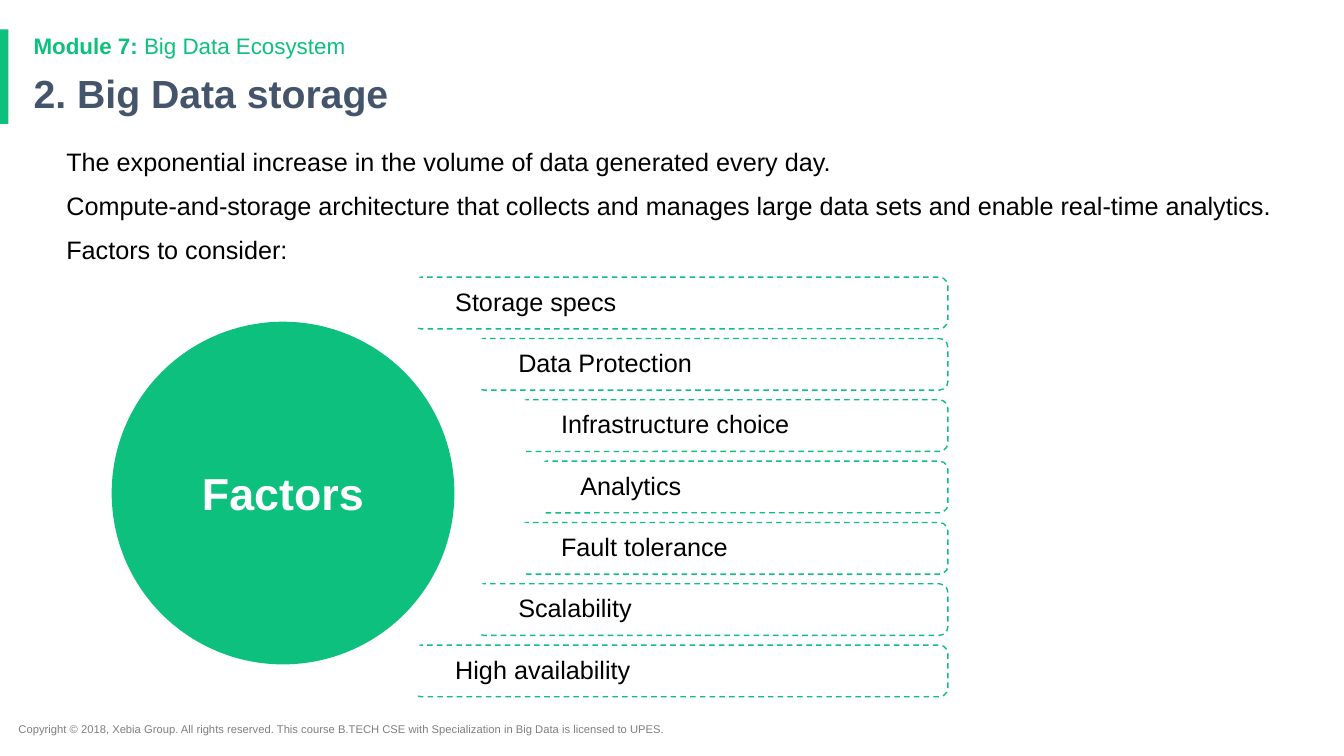
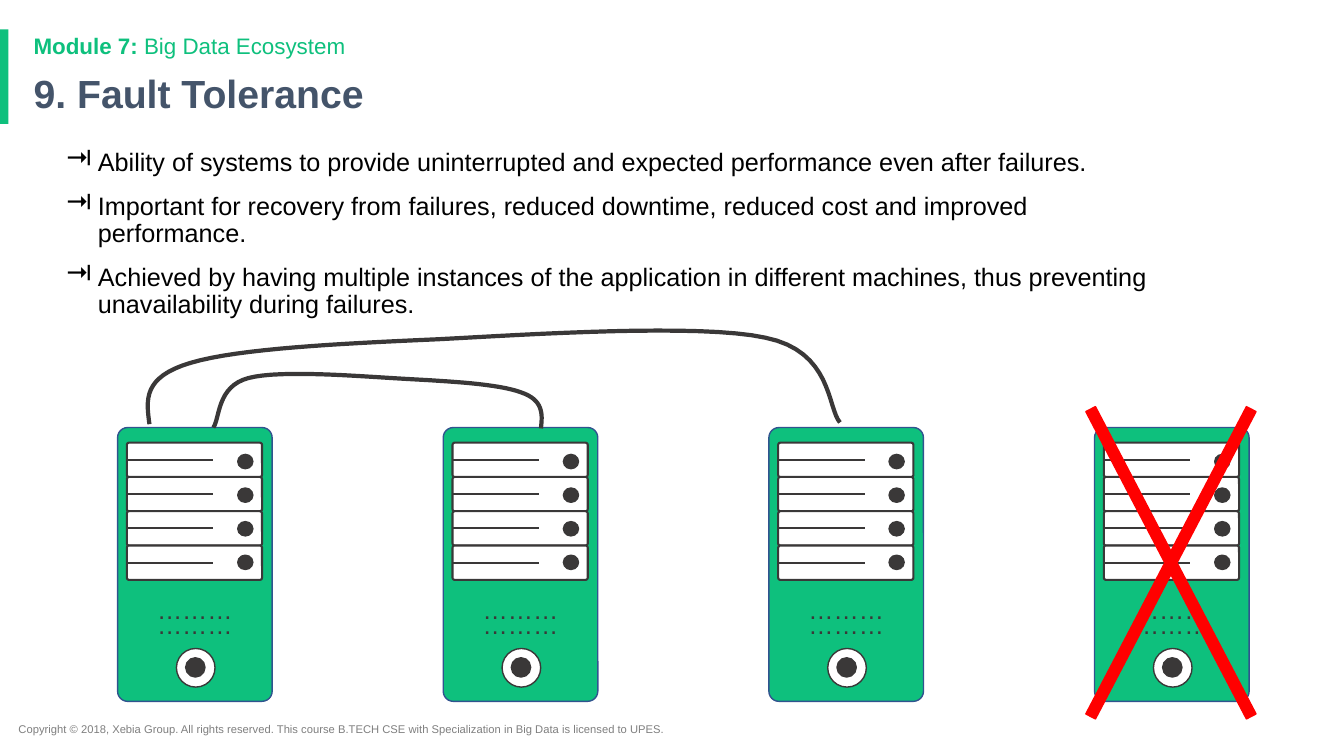
"""Build two slides on big data storage and fault tolerance."""
import typing

import lxml.etree
import pptx
import pptx.dml.color
import pptx.enum.dml
import pptx.enum.shapes
import pptx.enum.text
import pptx.oxml.ns
import pptx.util

WIDE, HIGH = pptx.util.Inches(13.33), pptx.util.Inches(7.5)
COLS, ROWS = 160, 90
GREEN, SLATE, DARK, GREY = "0EC07D", "44546A", "3A3838", "7F7F7F"
WHITE, BLACK, BLUE, RED = "FFFFFF", "000000", "31538F", "FF0000"
FONT = "Arial"
FORM = pptx.enum.shapes.MSO_SHAPE
SIDE = pptx.enum.text.PP_ALIGN
EDGE = pptx.enum.text.MSO_ANCHOR
Point = tuple[float, float]
Para = str | tuple[str, ...]


class Box(typing.NamedTuple):
    left: float
    top: float
    width: float
    height: float


class Factor(typing.NamedTuple):
    label: str
    left: float


class Cable(typing.NamedTuple):
    start: Point
    bends: tuple[tuple[Point, Point, Point], ...]


FACTORS = (
    Factor("Storage specs", 49.1),
    Factor("Data Protection", 56.6),
    Factor("Infrastructure choice", 61.7),
    Factor("Analytics", 64),
    Factor("Fault tolerance", 61.7),
    Factor("Scalability", 56.6),
    Factor("High availability", 49.1),
)
CABLES = (
    Cable((17.8, 50.5), (
        ((17.4, 47.6), (17, 44.9), (22.7, 43.2)),
        ((28.4, 41.5), (40.6, 40.9), (52, 40.4)),
        ((63.4, 39.8), (83.2, 38.5), (91.1, 40.2)),
        ((99.1, 41.8), (98.5, 48.6), (100, 50.3)),
    )),
    Cable((64.4, 51), (
        ((64.6, 49.3), (64.7, 47.6), (62, 46.7)),
        ((59.3, 45.7), (53.6, 45.4), (48.2, 45.1)),
        ((42.8, 44.8), (33.5, 44), (29.6, 45)),
        ((25.8, 46), (26.2, 49.8), (25.4, 50.9)),
    )),
)


def col(count: float) -> int:
    return round(WIDE * count / COLS)


def row(count: float) -> int:
    return round(HIGH * count / ROWS)


def place(box: Box) -> tuple[int, int, int, int]:
    return col(box.left), row(box.top), col(box.width), row(box.height)


def color(code: str) -> pptx.dml.color.RGBColor:
    return pptx.dml.color.RGBColor.from_string(code)


def add_mark(para: typing.Any, mark: str, ink: str) -> None:
    props = para._p.get_or_add_pPr()
    props.set("marL", str(col(3.75)))
    props.set("indent", str(-col(3.75)))
    qn = pptx.oxml.ns.qn
    tint = lxml.etree.SubElement(props, qn("a:buClr"))
    lxml.etree.SubElement(tint, qn("a:srgbClr")).set("val", ink)
    lxml.etree.SubElement(props, qn("a:buChar")).set("char", mark)


def write(shape: typing.Any, *paras: Para, size: float = 18, ink: str = BLACK,
          bold: bool = False, align: SIDE = SIDE.LEFT, anchor: EDGE = EDGE.TOP,
          lines: float = 0.9, gap: float = 0, mark: str = "",
          inset: tuple[float, float, float, float] = (1.2, 0.6, 1.2, 0.6)) -> None:
    frame = shape.text_frame
    frame.word_wrap = True
    frame.auto_size = pptx.enum.text.MSO_AUTO_SIZE.NONE
    frame.vertical_anchor = anchor
    frame.margin_left, frame.margin_right = col(inset[0]), col(inset[2])
    frame.margin_top, frame.margin_bottom = row(inset[1]), row(inset[3])
    for spot, runs in enumerate(paras):
        para = frame.add_paragraph() if spot else frame.paragraphs[0]
        if mark:
            add_mark(para, mark, ink)
        para.alignment = align
        para.line_spacing = lines
        para.space_before = pptx.util.Pt(gap if spot else 0)
        for turn, words in enumerate((runs,) if isinstance(runs, str) else runs):
            run = para.add_run()
            run.text = words
            run.font.name, run.font.size = FONT, pptx.util.Pt(size)
            run.font.bold = bold and not turn
            run.font.color.rgb = color(ink)


def add_text(slide: typing.Any, box: Box, *paras: Para, **style: typing.Any) -> typing.Any:
    shape = slide.shapes.add_textbox(*place(box))
    write(shape, *paras, **style)
    return shape


def outline(shape: typing.Any, ink: str, width: float) -> None:
    shape.line.color.rgb = color(ink)
    shape.line.width = pptx.util.Pt(width)


def draw(shapes: typing.Any, form: FORM, box: Box, fill: str, edge: str = "",
         width: float = 1, round_by: float | None = None) -> typing.Any:
    shape = shapes.add_shape(form, *place(box))
    shape.shadow.inherit = False
    shape.fill.solid()
    shape.fill.fore_color.rgb = color(fill)
    if edge:
        outline(shape, edge, width)
    else:
        shape.line.fill.background()
    if round_by is not None:
        shape.adjustments[0] = round_by
    return shape


def add_frame(slide: typing.Any) -> None:
    layout = slide.slide_layout
    home = layout.shapes.element
    for holder in list(layout.placeholders):
        if holder.placeholder_format.idx:
            home.remove(holder.element)
    band = draw(slide.shapes, FORM.RECTANGLE, Box(0, 3.5, 1, 11.25), GREEN)
    foot = add_text(slide, Box(1, 85.4, 85.6, 2.9),
                    "Copyright © 2018, Xebia Group. All rights reserved. This course "
                    "B.TECH CSE with Specialization in Big Data is licensed to UPES.",
                    size=8, ink=GREY, lines=1)
    for part in (band, foot):
        home.append(part.element)


def add_slide(deck: typing.Any, title: str) -> typing.Any:
    slide = deck.slides.add_slide(deck.slide_layouts[5])
    if len(deck.slides) == 1:
        add_frame(slide)
    head = slide.shapes.title
    head.left, head.top, head.width, head.height = place(Box(2.8, 8.3, 138, 6.5))
    write(head, title, size=28, ink=SLATE, bold=True)
    add_text(slide, Box(2.8, 3.6, 138, 4), ("Module 7:", " Big Data Ecosystem"),
             size=16, ink=GREEN, bold=True)
    return slide


def add_factor(slide: typing.Any, item: Factor, top: float) -> None:
    bar = draw(slide.shapes, FORM.ROUNDED_RECTANGLE,
               Box(item.left, top, 112.85 - item.left, 6.15), WHITE, GREEN, 1, 0.167)
    bar.line.dash_style = pptx.enum.dml.MSO_LINE.DASH
    write(bar, item.label, anchor=EDGE.MIDDLE, inset=(4.8, 0.6, 0.6, 0.6))
    draw(slide.shapes, FORM.OVAL, Box(item.left - 3.2, top - 0.1, 6.2, 6.2), WHITE)


def add_wire(shapes: typing.Any, bay: typing.Any, end: float) -> None:
    mid = bay.top + bay.height // 2
    wire = shapes.add_connector(pptx.enum.shapes.MSO_CONNECTOR.STRAIGHT,
                                bay.left, mid, col(end), mid)
    wire.begin_connect(bay, 1)
    outline(wire, DARK, 1.5)
    lxml.etree.SubElement(wire.element.spPr, pptx.oxml.ns.qn("a:effectLst"))


def add_server(slide: typing.Any, left: float) -> None:
    shapes = slide.shapes.add_group_shape().shapes
    case = draw(shapes, FORM.ROUNDED_RECTANGLE, Box(left, 50.9, 18.4, 32.6),
                GREEN, BLUE, 1, 0.065)
    write(case, "………", "………", ink=DARK, align=SIDE.CENTER, anchor=EDGE.BOTTOM,
          lines=0.5, inset=(1.2, 0.6, 1.2, 7.2))
    for tier in range(4):
        bay = draw(shapes, FORM.ROUNDED_RECTANGLE,
                   Box(left + 1.1, 52.7 + 4.08 * tier, 16.1, 4.1), WHITE, DARK, 1.5, 0.065)
        draw(shapes, FORM.OVAL, Box(left + 14.3, 54.1 + 4 * tier, 1.8, 1.7), DARK, DARK)
        add_wire(shapes, bay, left + 11.4)
    draw(shapes, FORM.OVAL, Box(left + 7, 77.2, 4.6, 4.6), WHITE, DARK)
    draw(shapes, FORM.OVAL, Box(left + 8.1, 78.3, 2.3, 2.3), DARK, DARK)


def curve(cable: Cable, steps: int = 16) -> list[tuple[int, int]]:
    points, start = [], cable.start
    for bend in cable.bends:
        for step in range(1, steps + 1):
            t = step / steps
            share = ((1 - t) ** 3, 3 * t * (1 - t) ** 2, 3 * t * t * (1 - t), t ** 3)
            x, y = (sum(s * p[axis] for s, p in zip(share, (start, *bend)))
                    for axis in (0, 1))
            points.append((col(x), row(y)))
        start = bend[-1]
    return points


def add_cable(slide: typing.Any, cable: Cable) -> None:
    x, y = cable.start
    pen = slide.shapes.build_freeform(col(x), row(y))
    pen.add_line_segments(curve(cable), close=False)
    shape = pen.convert_to_shape()
    shape.shadow.inherit = False
    shape.fill.background()
    outline(shape, DARK, 3)


def add_storage(deck: typing.Any) -> None:
    slide = add_slide(deck, "2. Big Data storage")
    add_text(slide, Box(6.7, 17.2, 150.6, 15),
             "The exponential increase in the volume of data generated every day.",
             "Compute-and-storage architecture that collects and manages large data "
             "sets and enable real-time analytics.",
             "Factors to consider:", gap=12)
    for place_no, item in enumerate(FACTORS):
        add_factor(slide, item, 33 + 7.3 * place_no)
    disc = draw(slide.shapes, FORM.OVAL, Box(13.3, 38.3, 40.8, 40.8), GREEN)
    write(disc, "Factors", size=32, ink=WHITE, bold=True, align=SIDE.CENTER,
          anchor=EDGE.MIDDLE, lines=1)


def add_fault(deck: typing.Any) -> None:
    slide = add_slide(deck, "9. Fault Tolerance")
    add_text(slide, Box(6.7, 17.2, 134.9, 22),
             "Ability of systems to provide uninterrupted and expected performance "
             "even after failures.",
             "Important for recovery from failures, reduced downtime, reduced cost "
             "and improved performance.",
             "Achieved by having multiple instances of the application in different "
             "machines, thus preventing unavailability during failures.",
             gap=12, mark="⇥")
    for unit in range(4):
        add_server(slide, 14 + 38.77 * unit)
    for cable in CABLES:
        add_cable(slide, cable)
    draw(slide.shapes, FORM.MATH_MULTIPLY, Box(121, 31.8, 36.8, 70.4), RED, RED, 1, 0.035)


def main() -> None:
    deck = pptx.Presentation()
    deck.slide_width, deck.slide_height = WIDE, HIGH
    add_storage(deck)
    add_fault(deck)
    deck.save("out.pptx")


if __name__ == "__main__":
    main()
